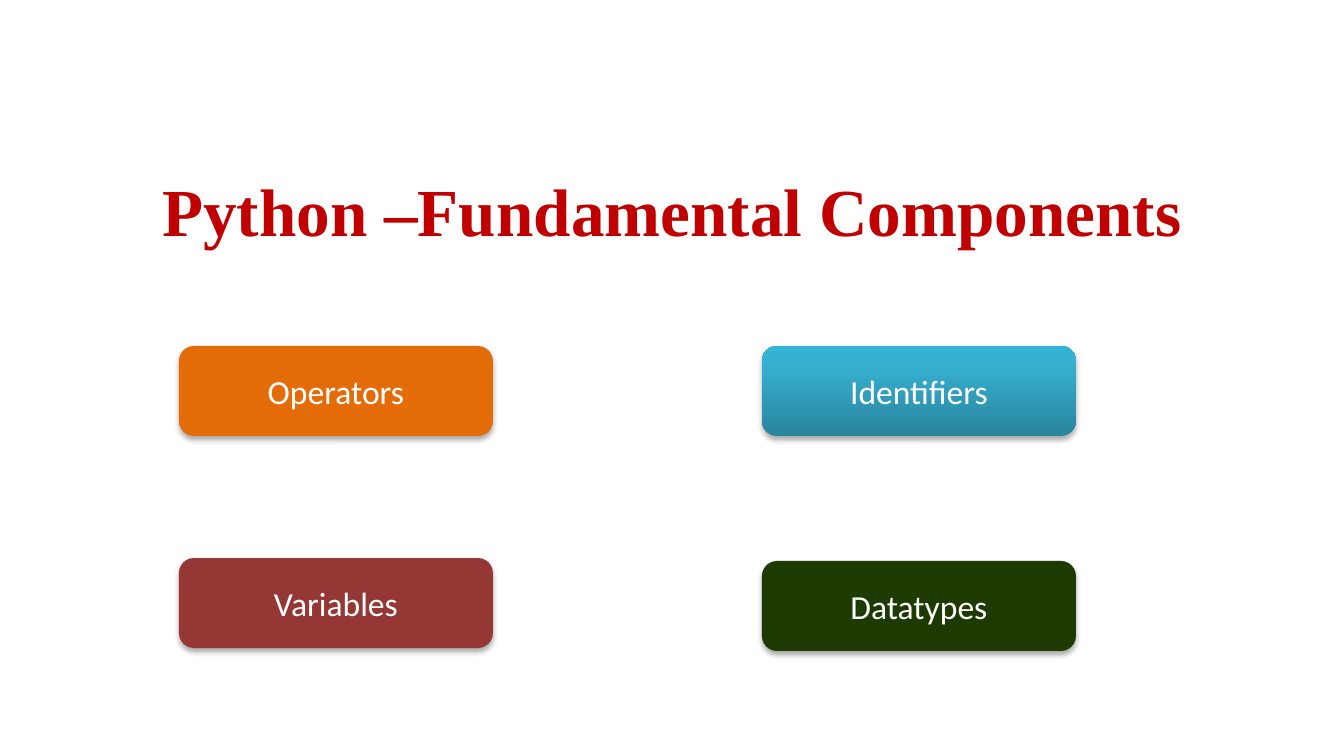
from copy import deepcopy

from pptx import Presentation
from pptx.dml.color import RGBColor
from pptx.enum.shapes import MSO_SHAPE
from pptx.enum.text import MSO_ANCHOR, PP_ALIGN
from pptx.oxml import parse_xml
from pptx.oxml.ns import nsdecls, qn
from pptx.util import Pt

BOX = MSO_SHAPE.FLOWCHART_ALTERNATE_PROCESS
MIDDLE = MSO_ANCHOR.MIDDLE
CENTER = PP_ALIGN.CENTER

RED = RGBColor(0xC0, 0x00, 0x00)
WHITE = RGBColor(0xFF, 0xFF, 0xFF)
ORANGE = RGBColor(0xE3, 0x6C, 0x09)
MAROON = RGBColor(0x95, 0x37, 0x34)
GREEN = RGBColor(0x1D, 0x3A, 0x00)
TEAL_STOPS = [
    (0, RGBColor(0x29, 0x85, 0x9E)),
    (0.8, RGBColor(0x36, 0xB0, 0xD0)),
    (1, RGBColor(0x33, 0xB3, 0xD5)),
]

WIDTH, HEIGHT = 1344, 756
SCALE = 914400 / 134.4
BOX_W, BOX_H = 314, 90
LEFT, RIGHT = 179, 762
TITLE_FONT = {"name": "Times New Roman", "size": Pt(36), "bold": True}
LABEL_FONT = {"name": "Calibri", "size": Pt(18), "bold": False}
SHADOW = (
    f'<a:outerShdw {nsdecls("a")} blurRad="40000" dist="23000" dir="5400000" rotWithShape="0">'
    '<a:srgbClr val="000000"><a:alpha val="35000"/></a:srgbClr></a:outerShdw>'
)


def emu(*px):
    return [round(v * SCALE) for v in px]


class Deck:
    def __init__(self):
        self.prs = Presentation()
        self.prs.slide_width, self.prs.slide_height = emu(WIDTH, HEIGHT)
        self.slide = self.prs.slides.add_slide(self.prs.slide_layouts[6])

    def label(self, s, text, font, color):
        tf = s.text_frame
        tf.word_wrap = True
        tf.vertical_anchor = MIDDLE
        p = tf.paragraphs[0]
        p.alignment = CENTER
        r = p.add_run()
        r.text = text
        for name, value in font.items():
            setattr(r.font, name, value)
        r.font.color.rgb = color

    def title(self, text, x, y, w, h):
        s = self.slide.shapes.add_textbox(*emu(x, y, w, h))
        self.label(s, text, TITLE_FONT, RED)

    def gradient(self, s, stops):
        s.fill.gradient()
        s.fill.gradient_angle = 90
        gs_list = s.fill.gradient_stops
        gs_root = s._element.spPr.find(f".//{qn('a:gsLst')}")
        for _ in range(len(stops) - len(gs_list)):
            gs_root.append(deepcopy(gs_root[0]))
        for gs, (position, color) in zip(s.fill.gradient_stops, stops):
            gs.position = position
            gs.color.rgb = color

    def box(self, text, x, y, fill):
        s = self.slide.shapes.add_shape(BOX, *emu(x, y, BOX_W, BOX_H))
        if isinstance(fill, list):
            self.gradient(s, fill)
        else:
            s.fill.solid()
            s.fill.fore_color.rgb = fill
        s.line.fill.background()
        s.shadow.inherit = False
        s._element.spPr.find(qn("a:effectLst")).append(parse_xml(SHADOW))
        self.label(s, text, LABEL_FONT, WHITE)


def main():
    deck = Deck()
    deck.title("Python –Fundamental Components", 66, 153, 1212, 113)
    for text, x, y, fill in [
        ("Identifiers", RIGHT, 346, TEAL_STOPS),
        ("Operators", LEFT, 346, ORANGE),
        ("Variables", LEFT, 558, MAROON),
        ("Datatypes", RIGHT, 561, GREEN),
    ]:
        deck.box(text, x, y, fill)
    deck.prs.save("out.pptx")


if __name__ == "__main__":
    main()
